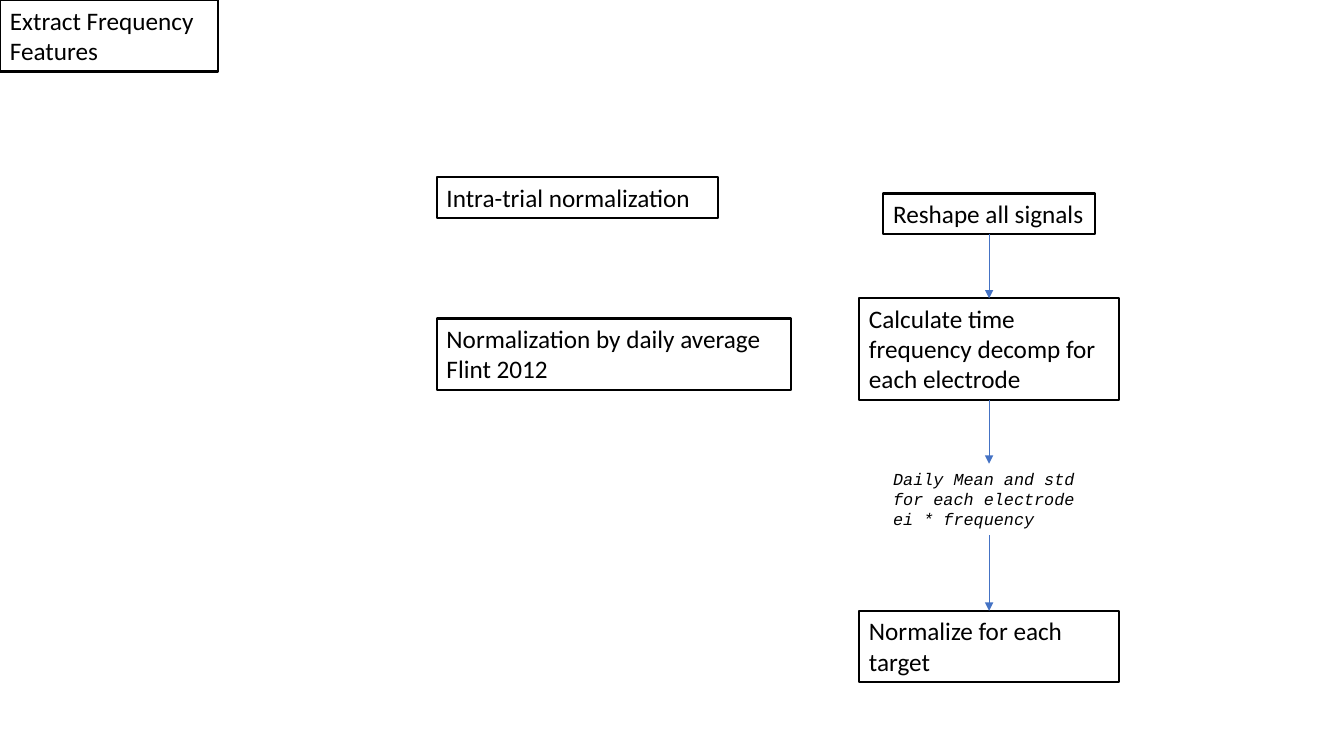
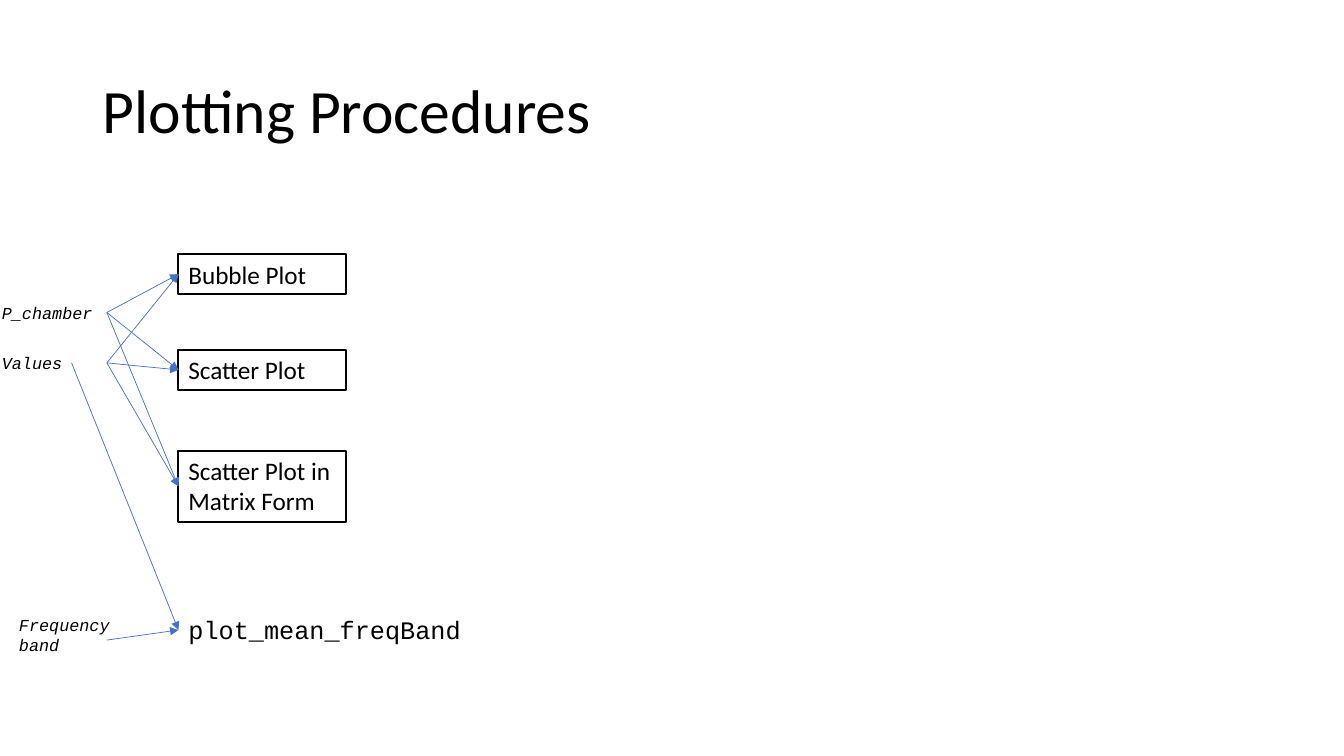
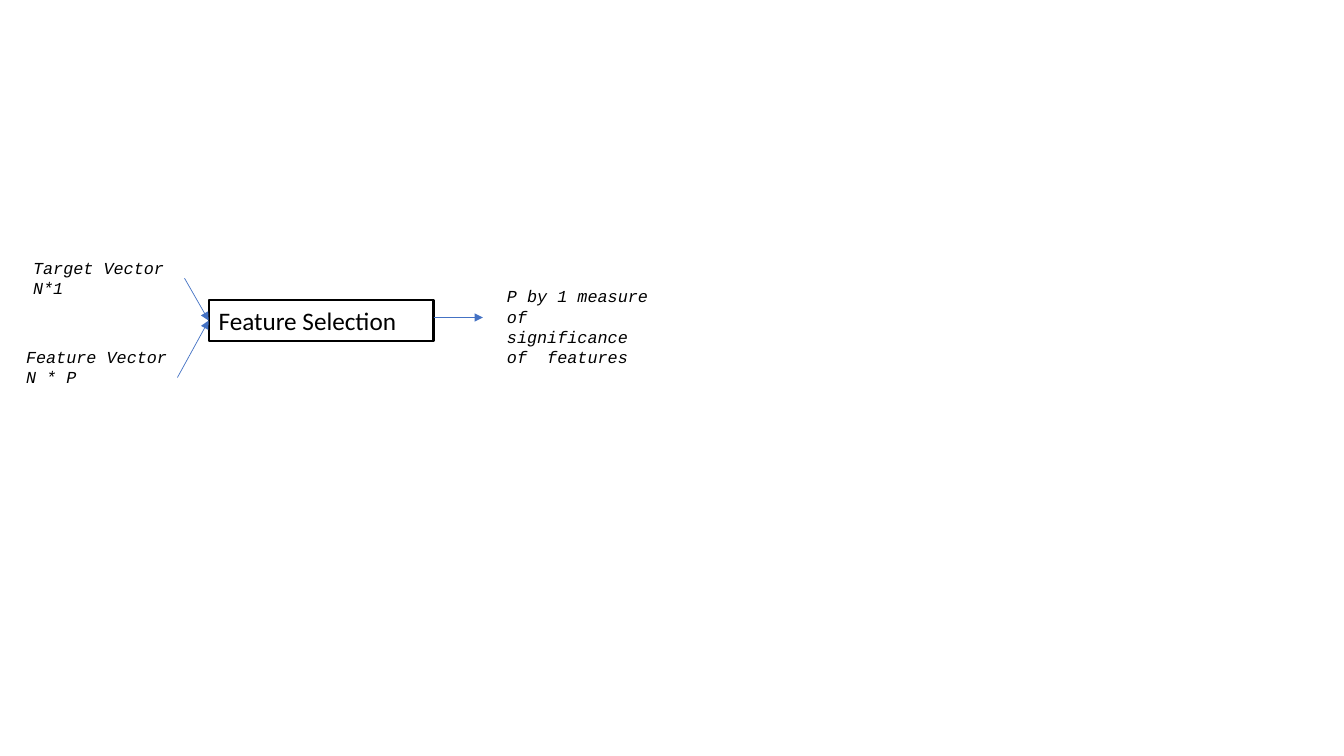
from lxml import etree
from pptx import Presentation
from pptx.dml.color import RGBColor
from pptx.enum.shapes import MSO_CONNECTOR
from pptx.enum.text import MSO_ANCHOR, MSO_AUTO_SIZE, PP_ALIGN
from pptx.oxml.ns import qn
from pptx.util import Inches, Pt

BLACK = RGBColor(0x00, 0x00, 0x00)
BLUE = RGBColor(0x44, 0x72, 0xC4)
SANS, MONO = "Calibri", "Courier New"
STRAIGHT = MSO_CONNECTOR.STRAIGHT
LEFT, MIDDLE = PP_ALIGN.LEFT, MSO_ANCHOR.MIDDLE
FIT, NO_FIT = MSO_AUTO_SIZE.SHAPE_TO_FIT_TEXT, MSO_AUTO_SIZE.NONE
TITLE_ONLY, BLANK = 5, 6
SITE_TOP, SITE_LEFT, SITE_BOTTOM, SITE_RIGHT = range(4)
ONE_LINE, TWO_LINES, THREE_LINES = 0.4, 0.71, 1.01


def set_font(p, size, name, italic=False):
    p.font.size = Pt(size)
    p.font.name = name
    p.font.italic = italic
    p.font.color.rgb = BLACK


def add_text(s, text, x, y, w, h, size=18, name=SANS, italic=False, wrap=True):
    sp = s.shapes.add_textbox(Inches(x), Inches(y), Inches(w), Inches(h))
    tf = sp.text_frame
    tf.word_wrap = wrap
    tf.auto_size = FIT
    tf.text = text
    for p in tf.paragraphs:
        set_font(p, size, name, italic)
    return sp


def add_step(s, text, x, y, w, h):
    """Outlined box naming a processing step."""
    sp = add_text(s, text, x, y, w, h)
    sp.line.color.rgb = BLACK
    sp.line.width = Pt(1.5)
    return sp


def add_data(s, text, x, y, w, h):
    """Unframed italic label naming an input or a result."""
    return add_text(s, text, x, y, w, h, 12, MONO, True)


def add_arrow(s, x1=0, y1=0, x2=0, y2=0):
    line = s.shapes.add_connector(
        STRAIGHT, Inches(x1), Inches(y1), Inches(x2), Inches(y2))
    line.line.color.rgb = BLUE
    line.line.width = Pt(0.5)
    ln = line.line._get_or_add_ln()
    etree.SubElement(ln, qn("a:tailEnd"), type="triangle")
    etree.SubElement(line._element.spPr, qn("a:effectLst"))
    return line


def link(s, source, source_site, target, target_site):
    line = add_arrow(s)
    line.begin_connect(source, source_site)
    line.end_connect(target, target_site)


def add_title(s, text):
    title = s.shapes.title
    title.left, title.top = Inches(0.92), Inches(0.4)
    title.width, title.height = Inches(11.5), Inches(1.45)
    tf = title.text_frame
    tf.text = text
    tf.word_wrap = True
    tf.auto_size = NO_FIT
    tf.vertical_anchor = MIDDLE
    p = tf.paragraphs[0]
    p.alignment = LEFT
    p.line_spacing = 0.9
    set_font(p, 44, SANS)


def normalization_flow(s, x, y, w):
    """Vertical chain of steps, centred in a column of width w."""
    chain = [
        (add_step, "Reshape all signals", 0, 2.1, ONE_LINE),
        (add_step, "Calculate time frequency decomp for each electrode",
         1.04, w, THREE_LINES),
        (add_data, "Daily Mean and std for each electrode\nei * frequency",
         2.68, 2.1, 0.71),
        (add_step, "Normalize for each target", 4.14, w, TWO_LINES),
    ]
    boxes = [add(s, text, x + (w - width) / 2, y + dy, width, height)
             for add, text, dy, width, height in chain]
    for upper, lower in zip(boxes, boxes[1:]):
        link(s, upper, SITE_BOTTOM, lower, SITE_TOP)


def plot_map(s, x, y):
    """Inputs on the left, linked to the plots that use them."""
    plot_x, input_w = x + 1.85, 1.14
    inputs = [add_data(s, text, x, y + dy, input_w, 0.3)
              for text, dy in (("P_chamber", 0.43), ("Values", 0.93))]
    plots = [add_step(s, text, plot_x, y + dy, 1.66, height)
             for text, dy, height in (
                 ("Bubble Plot", 0, ONE_LINE),
                 ("Scatter Plot", 0.95, ONE_LINE),
                 ("Scatter Plot in Matrix Form", 1.95, TWO_LINES))]
    for source in inputs:
        for plot in plots:
            link(s, source, SITE_RIGHT, plot, SITE_LEFT)

    band_y = y + 3.53
    add_text(s, "plot_mean_freqBand", plot_x, band_y, 2.92, ONE_LINE,
             name=MONO, wrap=False)
    add_data(s, "Frequency band", x + 0.17, band_y, input_w, 0.5)
    add_arrow(s, x + 0.79, y + 1.08, plot_x, band_y + 0.2)
    add_arrow(s, x + input_w, band_y + 0.3, plot_x, band_y + 0.2)


def selection_flow(s, x, y):
    """Two input vectors, the selection step and its result."""
    step = add_step(s, "Feature Selection", x + 1.91, y + 0.47, 2.23, ONE_LINE)
    for text, dx, dy, height in (
            ("Target Vector N*1", 0.07, 0, 0.5),
            ("Feature Vector\nN * P", 0, 0.88, 0.71)):
        vector = add_data(s, text, x + dx, y + dy, 1.6, height)
        link(s, vector, SITE_RIGHT, step, SITE_LEFT)
    add_arrow(s, x + 4.14, y + 0.64, x + 4.63, y + 0.64)
    add_data(s, "P by 1 measure of significance of  features",
             x + 4.77, y + 0.28, 1.6, 0.91)


def main():
    prs = Presentation()
    prs.slide_width, prs.slide_height = Inches(13.33), Inches(7.5)
    layouts = prs.slide_layouts

    s = prs.slides.add_slide(layouts[BLANK])
    add_step(s, "Extract Frequency\nFeatures", 0, 0, 2.16, TWO_LINES)
    add_step(s, "Intra-trial normalization", 4.33, 1.76, 2.79, ONE_LINE)
    add_step(s, "Normalization by daily average\nFlint 2012",
             4.33, 3.16, 3.52, TWO_LINES)
    normalization_flow(s, 8.52, 1.92, 2.58)

    s = prs.slides.add_slide(layouts[TITLE_ONLY])
    add_title(s, "Plotting Procedures")
    plot_map(s, -0.08, 2.52)

    s = prs.slides.add_slide(layouts[BLANK])
    selection_flow(s, 0.16, 2.51)

    prs.save("out.pptx")


if __name__ == "__main__":
    main()
